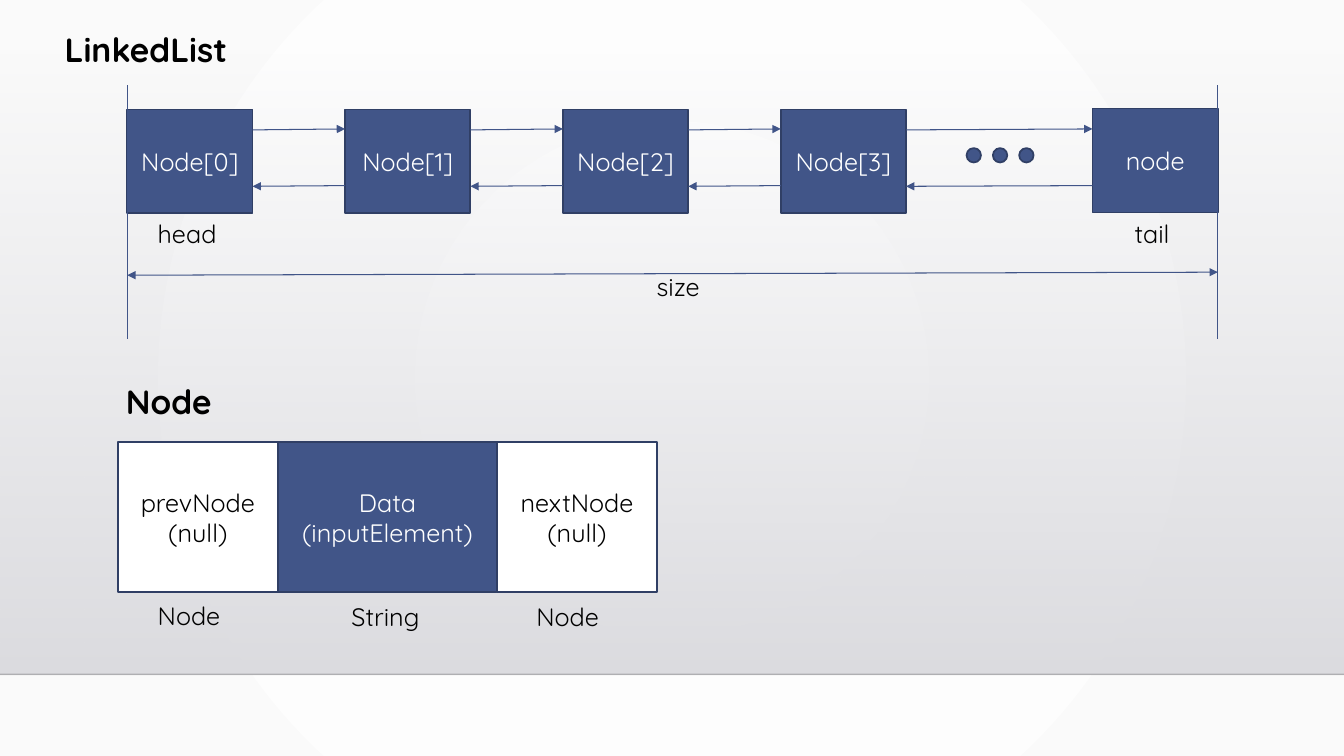
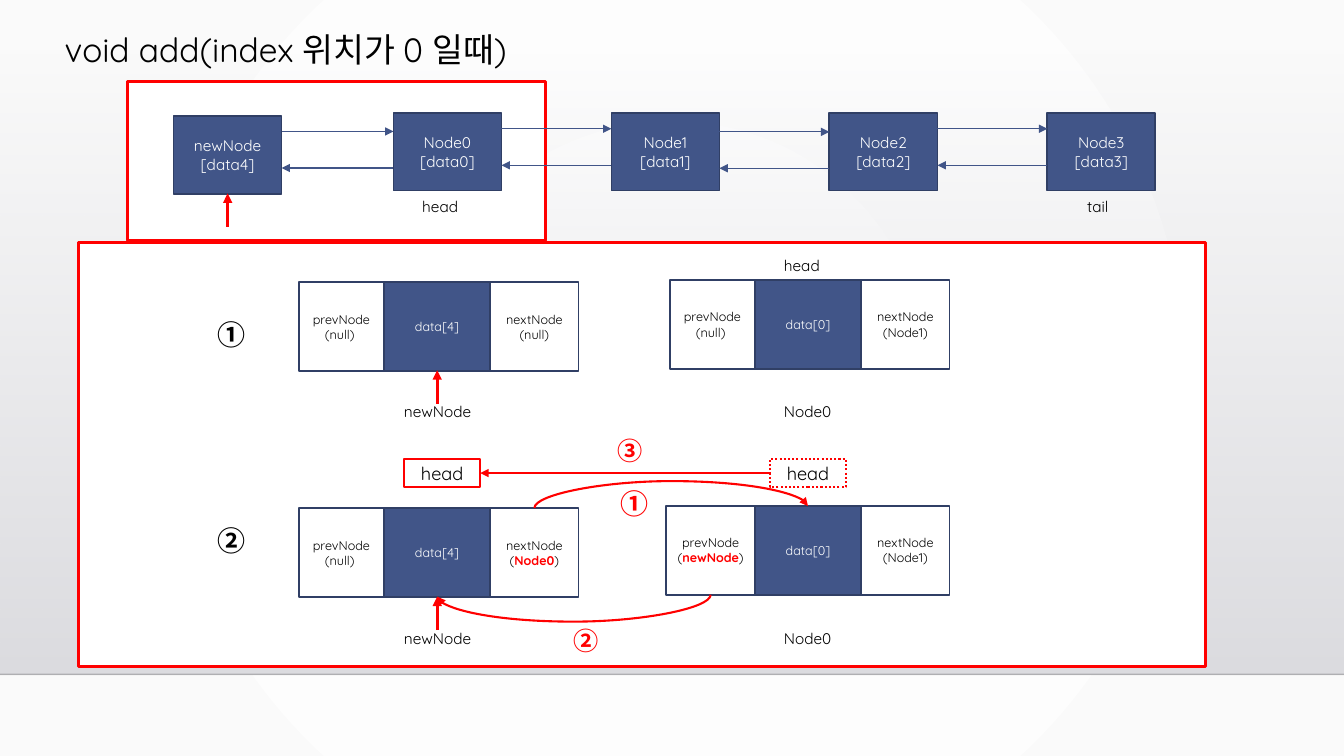
from dataclasses import dataclass
from typing import NamedTuple

from pptx import Presentation
from pptx.dml.color import RGBColor
from pptx.enum.dml import MSO_LINE
from pptx.enum.shapes import MSO_CONNECTOR, MSO_SHAPE
from pptx.enum.text import MSO_ANCHOR, MSO_AUTO_SIZE, PP_ALIGN
from pptx.oxml import parse_xml
from pptx.oxml.ns import nsdecls, qn
from pptx.shapes.autoshape import Shape
from pptx.shapes.connector import Connector
from pptx.slide import Slide, SlideLayout
from pptx.text.text import TextFrame
from pptx.util import Pt


@dataclass(frozen=True)
class Theme:
    font: str = "Quicksand"
    badge_font: str = "Noto Sans CJK KR"
    black: RGBColor = RGBColor(0, 0, 0)
    white: RGBColor = RGBColor(255, 255, 255)
    red: RGBColor = RGBColor(255, 0, 0)
    blue: RGBColor = RGBColor.from_string("415588")
    navy: RGBColor = RGBColor.from_string("303F65")
    paper: RGBColor = RGBColor.from_string("FAFAFA")
    band_top: RGBColor = RGBColor.from_string("DCDCE0")
    band_bottom: RGBColor = RGBColor.from_string("DEDEE2")
    floor: RGBColor = RGBColor.from_string("000001")
    heading: float = 24
    body: float = 18
    badge: float = 20
    tag: float = 13
    small: float = 11
    tiny: float = 9
    thin: float = 0.75
    edge: float = 1.25
    accent: float = 1.5
    thick: float = 2.25


THEME = Theme()


class Point(NamedTuple):
    x: float
    y: float


class Box(NamedTuple):
    left: float
    top: float
    width: float
    height: float


class Label(NamedTuple):
    text: str
    left: float
    top: float
    width: float
    size: float = THEME.small
    bold: bool = False


class Badge(NamedTuple):
    text: str
    left: float
    top: float
    size: float
    color: RGBColor


class Record(NamedTuple):
    left: float
    top: float
    widths: tuple[float, float, float]
    height: float
    texts: tuple[str, str, str]
    size: float


class Link(NamedTuple):
    start: float
    end: float
    next_y: tuple[float, float]
    prev_y: tuple[float, float]


def write(frame: TextFrame, text: str, size: float, color: RGBColor, bold: bool = False,
          font: str = THEME.font, align: PP_ALIGN = PP_ALIGN.LEFT) -> None:
    frame.text = text
    for paragraph in frame.paragraphs:
        paragraph.alignment = align
        first, *others = paragraph.text.split("*")
        paragraph.text = first
        for part in others:
            paragraph.add_run().text = part
        for index, run in enumerate(paragraph.runs):
            marked = index % 2 == 1
            run.font.name = font
            run.font.size = Pt(size)
            run.font.bold = bold or marked
            run.font.color.rgb = THEME.red if marked else color
            run.font.element.append(parse_xml(f'<a:ea {nsdecls("a")} typeface="{font}"/>')) \
                if hasattr(run.font, "element") else \
                run.element.rPr.append(parse_xml(f'<a:ea {nsdecls("a")} typeface="{font}"/>')) \
                if hasattr(run, "element") else None


def draw_box(slide: Slide, box: Box, fill: RGBColor = THEME.blue, line: RGBColor = THEME.navy,
             weight: float = THEME.edge, text: str = "", size: float = THEME.body,
             preset: MSO_SHAPE = MSO_SHAPE.RECTANGLE) -> Shape:
    shape = slide.shapes.add_shape(preset, *map(Pt, box))
    shape.shadow.inherit = False
    shape.fill.solid()
    shape.fill.fore_color.rgb = fill
    shape.line.color.rgb = line
    shape.line.width = Pt(weight)
    if text:
        shape.text_frame.vertical_anchor = MSO_ANCHOR.MIDDLE
        ink = THEME.white if fill == THEME.blue else THEME.black
        write(shape.text_frame, text, size, ink, align=PP_ALIGN.CENTER)
    return shape


def draw_label(slide: Slide, label: Label) -> None:
    frame = slide.shapes.add_textbox(
        Pt(label.left), Pt(label.top), Pt(label.width), Pt(label.size * 1.25 + 7.2)).text_frame
    frame.word_wrap = True
    write(frame, label.text, label.size, THEME.black, label.bold)


def draw_badge(slide: Slide, badge: Badge) -> None:
    frame = slide.shapes.add_textbox(
        Pt(badge.left), Pt(badge.top), Pt(badge.size), Pt(badge.size * 1.2)).text_frame
    frame.margin_left = frame.margin_right = frame.margin_top = frame.margin_bottom = 0
    frame.word_wrap = False
    frame.auto_size = MSO_AUTO_SIZE.SHAPE_TO_FIT_TEXT
    write(frame, badge.text, badge.size, badge.color, True, THEME.badge_font)


def draw_line(slide: Slide, start: Point, end: Point, color: RGBColor = THEME.blue,
              weight: float = THEME.thin, ends: tuple[str, ...] = ("tailEnd",),
              kind: MSO_CONNECTOR = MSO_CONNECTOR.STRAIGHT) -> Connector:
    connector = slide.shapes.add_connector(kind, *map(Pt, (*start, *end)))
    connector.line.color.rgb = color
    connector.line.width = Pt(weight)
    outline = connector.line._get_or_add_ln()
    for arrow in ends:
        outline.append(parse_xml(f'<a:{arrow} {nsdecls("a")} type="triangle"/>'))
    connector.element.spPr.append(parse_xml(f'<a:effectLst {nsdecls("a")}/>'))
    return connector


def draw_curve(slide: Slide, start: Point, end: Point, bulge: float) -> None:
    across, down = end.x - start.x, end.y - start.y
    middle = Point((start.x + end.x) / 2, (start.y + end.y) / 2)
    curve = draw_line(slide, Point(middle.x - down / 2, middle.y + across / 2),
                      Point(middle.x + down / 2, middle.y - across / 2),
                      THEME.red, THEME.accent, kind=MSO_CONNECTOR.CURVE)
    properties = curve.element.spPr
    properties.find(qn("a:xfrm")).set("rot", "5400000")
    ratio = round(bulge / abs(down) * 100000)
    properties.find(qn("a:prstGeom")).find(qn("a:avLst")).append(
        parse_xml(f'<a:gd {nsdecls("a")} name="adj1" fmla="val {ratio}"/>'))


def draw_links(slide: Slide, links: list[Link]) -> None:
    for link in links:
        draw_line(slide, Point(link.start, link.next_y[0]), Point(link.end, link.next_y[1]))
        draw_line(slide, Point(link.end, link.prev_y[0]), Point(link.start, link.prev_y[1]))


def draw_record(slide: Slide, record: Record) -> None:
    for part in (1, 0, 2):
        left = record.left + sum(record.widths[:part])
        draw_box(slide, Box(left, record.top, record.widths[part], record.height),
                 THEME.blue if part == 1 else THEME.white,
                 text=record.texts[part], size=record.size)


def add_slide(layout: SlideLayout, heading: str, width: float, bold: bool) -> Slide:
    slide = deck.slides.add_slide(layout)
    title = slide.shapes.title
    title.left, title.top, title.width, title.height = map(Pt, (39, 16.7, width, 36.4))
    title.text_frame.vertical_anchor = MSO_ANCHOR.TOP
    title.text_frame.auto_size = MSO_AUTO_SIZE.NONE
    write(title.text_frame, heading, THEME.heading, THEME.black, bold)
    return slide


def set_alpha(color_parent, percent: int) -> None:
    color_parent.find(".//" + qn("a:srgbClr")).append(
        parse_xml(f'<a:alpha {nsdecls("a")} val="{percent * 1000}"/>'))


def move_backdrop_to_layout(slide: Slide, layout: SlideLayout) -> None:
    master = layout.slide_master
    paper = master.background.fill
    paper.gradient()
    for stop, color in zip(paper.gradient_stops, (THEME.white, THEME.paper)):
        stop.color.rgb = color
    direction = master.element.find(".//" + qn("p:bg")).find(".//" + qn("a:lin"))
    direction.getparent().replace(direction, parse_xml(
        f'<a:path {nsdecls("a")} path="circle">'
        '<a:fillToRect l="50000" t="50000" r="50000" b="50000"/></a:path>'))

    band = draw_box(slide, Box(0, 36.7, 960, 445))
    band.line.fill.background()
    band.fill.gradient()
    band.fill.gradient_angle = 270
    for stop, color in zip(band.fill.gradient_stops, (THEME.band_top, THEME.band_bottom)):
        stop.color.rgb = color
    set_alpha(band.element.spPr.find(qn("a:gradFill")), 0)
    floor = draw_line(slide, Point(0, 481.7), Point(960, 481.7), THEME.floor, 1, ())
    set_alpha(floor.element.spPr.find(qn("a:ln")), 20)
    for position, part in enumerate((band, floor), 2):
        layout.shapes.element.insert(position, part.element)


def build_structure(layout: SlideLayout) -> Slide:
    slide = add_slide(layout, "LinkedList", 171.4, True)
    node_width, node_height, first, last = 89.5, 74.2, 90.9, 780.4
    lefts = [first + 155.6 * index for index in range(4)] + [last]
    for index, left in enumerate(lefts):
        tail = left == last
        draw_box(slide, Box(left, 77.6 if tail else 78.2, node_width, node_height),
                 text="node" if tail else f"Node[{index}]")
    draw_links(slide, [Link(left + node_width, following, (92.8, 92.1), (132.6, 133.1))
                       for left, following in zip(lefts, lefts[1:])])
    for index in range(3):
        draw_box(slide, Box(690.4 + 18.8 * index, 105.8, 10.3, 10.3), preset=MSO_SHAPE.OVAL)

    end = last + node_width
    for limit in (first, end):
        draw_line(slide, Point(limit, 61), Point(limit, 242.3), ends=())
    draw_line(slide, Point(first, 196.6), Point(end, 194.4), ends=("headEnd", "tailEnd"))

    draw_record(slide, Record(84.2, 315.8, (114.3, 156.5, 114.3), 107.3, (
        "prevNode\n(null)", "Data\n(inputElement)", "nextNode\n(null)"), THEME.body))
    for label in (
        Label("head", 105.6, 152.6, 72, THEME.body),
        Label("tail", 803.4, 152.6, 44, THEME.body),
        Label("size", 462, 190.4, 57, THEME.body),
        Label("Node", 82.9, 268.7, 171, THEME.heading, True),
        Label("Node", 105.6, 425.3, 72, THEME.body),
        Label("String", 244, 426.3, 67, THEME.body),
        Label("Node", 376, 426.3, 72, THEME.body),
    ):
        draw_label(slide, label)
    return slide


def build_insertion(layout: SlideLayout) -> Slide:
    slide = add_slide(layout, "void add(index 위치가 0 일때)", 433.4, False)
    for frame in (Box(56.2, 173.3, 805, 303), Box(91, 58.3, 298.6, 113.4)):
        draw_box(slide, frame, THEME.white, THEME.red, THEME.thick)

    node_width, node_height = 77.2, 55.6
    lefts = [124] + [281 + 155.7 * index for index in range(4)]
    names = ["newNode\n[data4]"] + [f"Node{index}\n[data{index}]" for index in range(4)]
    for left, name in zip(lefts, names):
        draw_box(slide, Box(left, 82.8 if left == lefts[0] else 80.6, node_width, node_height),
                 text=name, size=THEME.small)
    heights = ((93.9, 120), (92, 118.1), (94.2, 120.2), (92, 118.1))
    draw_links(slide, [Link(left + node_width, following, (ahead, ahead), (back, back))
                       for left, following, (ahead, back) in zip(lefts, lefts[1:], heights)])

    data4, data0, following = "data[4]", "data[0]", "nextNode\n(Node1)"
    unlinked = "prevNode\n(null) "
    widths = (60.7, 75.9, 63.2)
    for left, top, parts, texts in (
        (213.5, 201.6, widths, (unlinked, data4, "nextNode\n(null)")),
        (478.5, 200, widths, (unlinked, data0, following)),
        (213.5, 363, widths, (unlinked, data4, "nextNode\n(*Node0*)")),
        (476, 361.4, (63.2, 75.9, 63.2), ("prevNode\n(*newNode*) ", data0, following)),
    ):
        draw_record(slide, Record(left, top, parts, 63.4, texts, THEME.tiny))

    for x, bottom, top in ((312.3, 288.5, 264.5), (312.3, 450, 426.2), (162.6, 162, 138.2)):
        draw_line(slide, Point(x, bottom), Point(x, top), THEME.red, THEME.thick)
    draw_curve(slide, Point(381.7, 362.9), Point(577.1, 361.5), 19.4)
    draw_curve(slide, Point(507.6, 424.8), Point(312.3, 426.2), 19.4)

    former = draw_box(slide, Box(549.9, 327.9, 54.4, 20), THEME.white, THEME.red,
                      THEME.accent, "head", THEME.tag)
    former.line.dash_style = MSO_LINE.ROUND_DOT
    draw_box(slide, Box(288.6, 327.9, 54.4, 20), THEME.white, THEME.red,
             THEME.accent, "head", THEME.tag)
    draw_line(slide, Point(549.9, 337.9), Point(343, 337.9), THEME.red, THEME.accent)

    for label in (Label("head", 294.5, 137.2, 48), Label("tail", 769.5, 137.2, 48),
                  Label("head", 552.8, 179.4, 48)):
        draw_label(slide, label)
    for top in (283.6, 445.6):
        draw_label(slide, Label("newNode", 281.4, top, 68.4))
        draw_label(slide, Label("Node0", 552.8, top, 62))
    for badge in (
        Badge("①", 155.4, 226.6, THEME.badge, THEME.black),
        Badge("②", 155.4, 374.2, THEME.badge, THEME.black),
        Badge("①", 443.5, 347.6, THEME.badge, THEME.red),
        Badge("②", 409.6, 447, THEME.body, THEME.red),
        Badge("③", 441.4, 311, THEME.body, THEME.red),
    ):
        draw_badge(slide, badge)
    return slide


deck = Presentation()
deck.slide_width, deck.slide_height = Pt(960), Pt(540)
title_only = deck.slide_layouts[5]
build_structure(title_only)
insertion = build_insertion(title_only)
move_backdrop_to_layout(insertion, title_only)
deck.save("out.pptx")
